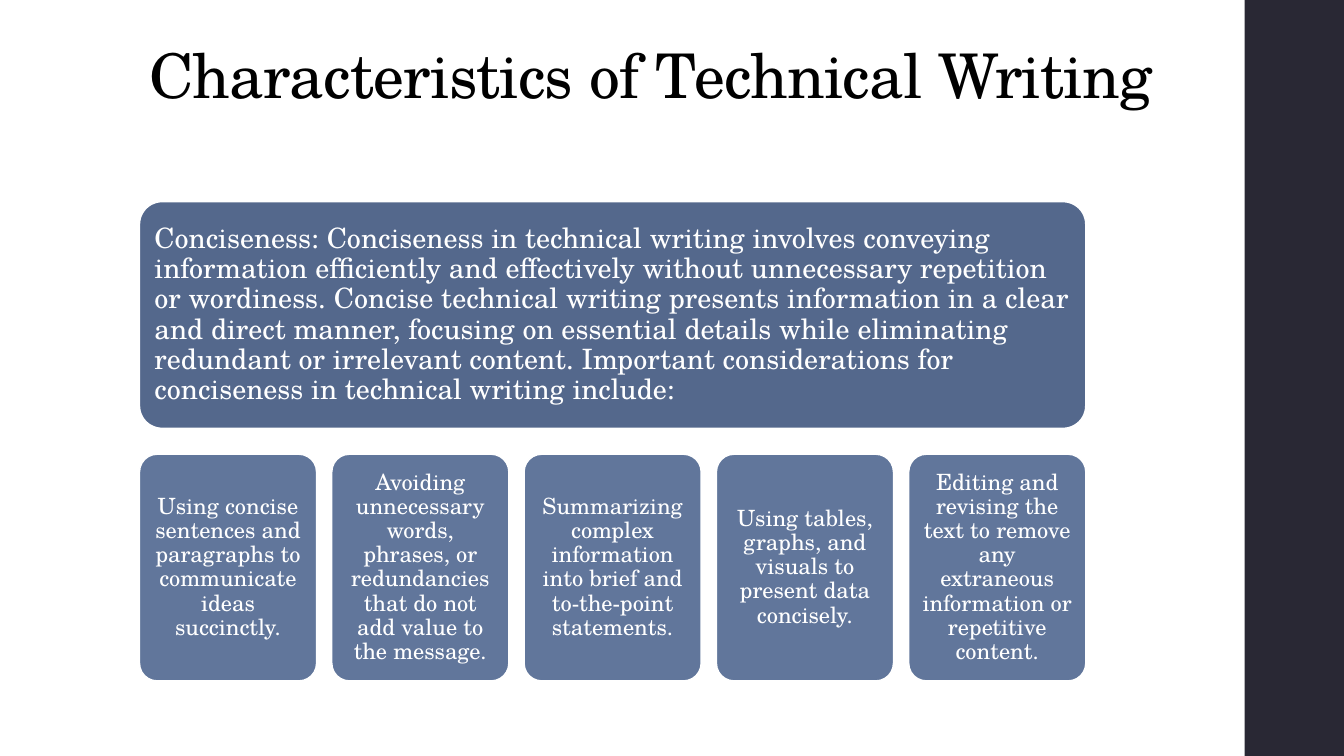
import dataclasses

import pptx
import pptx.dml.color
import pptx.enum.shapes
import pptx.enum.text
import pptx.util

Pt = pptx.util.Pt
ALIGN = pptx.enum.text.PP_ALIGN
ANCHOR = pptx.enum.text.MSO_ANCHOR
SHAPE = pptx.enum.shapes.MSO_SHAPE

TITLE = "Characteristics of Technical Writing"
CONCISENESS = (
    "Conciseness: Conciseness in technical writing involves conveying information "
    "efficiently and effectively without unnecessary repetition or wordiness. Concise "
    "technical writing presents information in a clear and direct manner, focusing on "
    "essential details while eliminating redundant or irrelevant content. Important "
    "considerations for conciseness in technical writing include:"
)
CONSIDERATIONS = [
    "Using concise sentences and paragraphs to communicate ideas succinctly.",
    "Avoiding unnecessary words, phrases, or redundancies that do not add value to the message.",
    "Summarizing complex information into brief and to-the-point statements.",
    "Using tables, graphs, and visuals to present data concisely.",
    "Editing and revising the text to remove any extraneous information or repetitive content.",
]


@dataclasses.dataclass(frozen=True)
class Theme:
    font: str = "TeX Gyre Schola"
    title_size: float = 44
    lead_size: float = 20
    card_size: float = 16
    black: str = "000000"
    white: str = "FFFFFF"
    side_bar: str = "292834"
    lead_fill: str = "54688C"
    card_fill: str = "61769B"


def rgb(color):
    return pptx.dml.color.RGBColor.from_string(color)


def write_text(shape, text, *, font, size, color, align=ALIGN.LEFT,
               anchor=ANCHOR.MIDDLE, inset=None, letter_spacing=None):
    """Fill the shape with one paragraph; inset and letter_spacing are in points."""
    frame = shape.text_frame
    frame.word_wrap = True
    frame.vertical_anchor = anchor
    if inset is not None:
        frame.margin_left = frame.margin_right = Pt(inset)
        frame.margin_top = frame.margin_bottom = Pt(inset)
    paragraph = frame.paragraphs[0]
    paragraph.alignment = align
    paragraph.line_spacing = 0.9
    run = paragraph.add_run()
    run.text = text
    run.font.name = font
    run.font.size = Pt(size)
    run.font.color.rgb = rgb(color)
    if letter_spacing is not None:
        run.font._element.set("spc", str(round(letter_spacing * 100)))


class SlideBuilder:
    def __init__(self, slide, theme):
        self.slide = slide
        self.theme = theme

    def block(self, kind, left, top, width, height, fill):
        shape = self.slide.shapes.add_shape(kind, Pt(left), Pt(top), Pt(width), Pt(height))
        shape.shadow.inherit = False
        shape.fill.solid()
        shape.fill.fore_color.rgb = rgb(fill)
        shape.line.fill.background()
        return shape

    def title(self, text, left, top, width, height):
        box = self.slide.shapes.add_textbox(Pt(left), Pt(top), Pt(width), Pt(height))
        write_text(box, text, font=self.theme.font, size=self.theme.title_size,
                   color=self.theme.black, anchor=ANCHOR.TOP, letter_spacing=-0.5)

    def panel(self, text, left, top, width, height, *, fill, size, align):
        """Draw a rounded, white-edged panel with its text inside."""
        shape = self.block(SHAPE.ROUNDED_RECTANGLE, left, top, width, height, fill)
        shape.adjustments[0] = 0.1
        shape.line.color.rgb = rgb(self.theme.white)
        shape.line.width = Pt(1.1)
        write_text(shape, text, font=self.theme.font, size=size, color=self.theme.white,
                   align=align, inset=0.3 * size)


def main():
    presentation = pptx.Presentation()
    presentation.slide_width = Pt(960)
    presentation.slide_height = Pt(540)
    theme = Theme()
    builder = SlideBuilder(presentation.slides.add_slide(presentation.slide_layouts[6]), theme)

    builder.block(SHAPE.RECTANGLE, 889, 0, 71, 540, theme.side_bar)
    builder.title(TITLE, 99.4, 28.8, 763, 104.4)

    left, width, height = 99.6, 676, 162
    builder.panel(CONCISENESS, left, 144, width, height,
                  fill=theme.lead_fill, size=theme.lead_size, align=ALIGN.LEFT)

    gap = 10.8
    card_width = (width + gap) / len(CONSIDERATIONS) - gap
    for index, consideration in enumerate(CONSIDERATIONS):
        builder.panel(consideration, left + index * (card_width + gap), 324.4, card_width, height,
                      fill=theme.card_fill, size=theme.card_size, align=ALIGN.CENTER)

    presentation.save("out.pptx")


if __name__ == "__main__":
    main()
